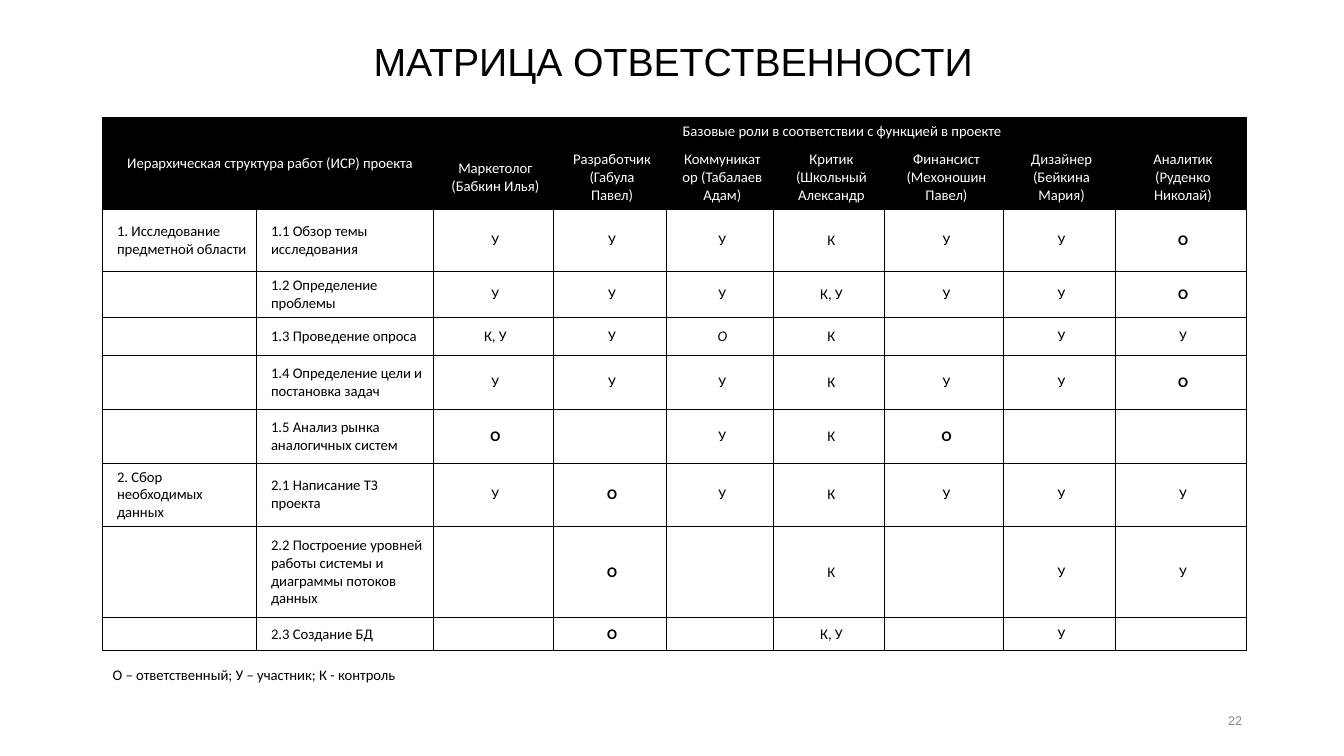
from dataclasses import dataclass
from typing import Optional

from lxml.etree import SubElement
from pptx import Presentation
from pptx.dml.color import RGBColor as Rgb
from pptx.enum.text import MSO_ANCHOR as Anchor, PP_ALIGN as Align
from pptx.oxml.ns import qn
from pptx.util import Cm, Pt


@dataclass(frozen=True)
class Theme:
    """Colours, fonts and type sizes of the slide."""
    ink: Rgb = Rgb(0x00, 0x00, 0x00)
    paper: Rgb = Rgb(0xFF, 0xFF, 0xFF)
    muted: Rgb = Rgb(0x88, 0x88, 0x88)
    heading_font: str = "Arial"
    body_font: str = "Calibri"
    title_size: float = 28
    body_size: float = 10.5
    number_size: float = 9
    border: float = 0.75


@dataclass(frozen=True)
class Task:
    """A work item with one mark per role."""
    stage: str
    name: str
    marks: tuple[str, ...]
    italic_role: Optional[int] = None


@dataclass(frozen=True)
class Label:
    """A text box with its place and format."""
    text: str
    left: float
    top: float
    width: float
    height: float
    size: float
    font: str
    color: Rgb
    align: Align = Align.LEFT
    anchor: Anchor = Anchor.MIDDLE
    spacing: float = 1.0


THEME = Theme()
COLUMNS = (3.88, 4.45, 3.02, 2.86, 2.7, 2.8, 3, 2.8, 3.32)
ROWS = (0.58, 1.35, 1.57, 0.97, 0.97, 1.35, 1.35, 1.35, 2.29, 0.84)
HEADER_ROWS = 2
LABEL_COLUMNS = 2
ROLES = (
    "Маркетолог (Бабкин Илья)",
    "Разработчик (Габула Павел)",
    "Коммуникатор (Табалаев Адам)",
    "Критик (Школьный Александр",
    "Финансист (Мехоношин Павел)",
    "Дизайнер (Бейкина Мария)",
    "Аналитик (Руденко Николай)",
)
TASKS = (
    Task("1. Исследование предметной области", "1.1 Обзор темы исследования",
         ("У", "У", "У", "К", "У", "У", "О")),
    Task("", "1.2 Определение проблемы",
         ("У", "У", "У", "К, У", "У", "У", "О")),
    Task("", "1.3 Проведение опроса",
         ("К, У", "У", "О", "К", "", "У", "У"), italic_role=2),
    Task("", "1.4 Определение цели и постановка задач",
         ("У", "У", "У", "К", "У", "У", "О")),
    Task("", "1.5 Анализ рынка аналогичных систем",
         ("О", "", "У", "К", "О", "", "")),
    Task("2. Сбор необходимых данных", "2.1 Написание ТЗ проекта",
         ("У", "О", "У", "К", "У", "У", "У")),
    Task("", "2.2 Построение уровней работы системы и диаграммы потоков данных",
         ("", "О", "", "К", "", "У", "У")),
    Task("", "2.3 Создание БД",
         ("", "О", "", "К, У", "", "У", "")),
)
LABELS = (
    Label("МАТРИЦА ОТВЕТСТВЕННОСТИ", 1.98, -0.23, 29.97, 3.68, THEME.title_size,
          THEME.heading_font, THEME.ink, align=Align.CENTER, spacing=0.9),
    Label("22", 23.93, 17.65, 7.62, 1.02, THEME.number_size,
          THEME.heading_font, THEME.muted, align=Align.RIGHT),
    Label("О – ответственный; У – участник; К - контроль", 2.59, 16.66, 13.94, 0.71,
          THEME.body_size, THEME.body_font, THEME.ink, anchor=Anchor.TOP),
)


def write(para, text: str, *, size: float, font: str, color: Rgb,
          align: Align = Align.LEFT, bold: bool = False, italic: bool = False) -> None:
    """Put formatted text in a paragraph, or size the paragraph if it is empty."""
    para.alignment = align
    if not text:
        SubElement(para._p, qn("a:endParaRPr"), sz=str(int(size * 100)))
        return
    span = para.add_run()
    span.text = text
    span.font.size = Pt(size)
    span.font.name = font
    span.font.color.rgb = color
    span.font.bold = bold
    span.font.italic = italic


def add_label(page, label: Label) -> None:
    """Add a text box."""
    box = page.shapes.add_textbox(Cm(label.left), Cm(label.top),
                                  Cm(label.width), Cm(label.height))
    frame = box.text_frame
    frame.word_wrap = True
    frame.vertical_anchor = label.anchor
    para = frame.paragraphs[0]
    para.line_spacing = label.spacing
    write(para, label.text, size=label.size, font=label.font,
          color=label.color, align=label.align)


def add_borders(cell) -> None:
    """Draw a thin line on all four sides of a cell."""
    properties = cell._tc.get_or_add_tcPr()
    for side in ("lnL", "lnR", "lnT", "lnB"):
        line = SubElement(properties, qn(f"a:{side}"), w=str(Pt(THEME.border)))
        fill = SubElement(line, qn("a:solidFill"))
        SubElement(fill, qn("a:srgbClr"), val=str(THEME.ink))


def fill_cell(cell, text: str, *, header: bool = False, align: Align = Align.CENTER,
              anchor: Anchor = Anchor.MIDDLE, bold: bool = False,
              italic: bool = False) -> None:
    """Format a table cell and write its text."""
    add_borders(cell)
    if header:
        cell.fill.solid()
        cell.fill.fore_color.rgb = THEME.ink
    else:
        cell.fill.background()
    cell.vertical_anchor = anchor
    cell.margin_left = Cm(0.36)
    write(cell.text_frame.paragraphs[0], text, size=THEME.body_size,
          font=THEME.body_font, color=THEME.paper if header else THEME.ink,
          align=align, bold=bold, italic=italic)


def add_header(table) -> None:
    """Write the two header rows and merge their group cells."""
    blanks = ("",) * (len(ROLES) - 1)
    groups = ("Иерархическая структура работ (ИСР) проекта", "",
              "Базовые роли в соответствии с функцией в проекте", *blanks)
    for row, texts in enumerate((groups, ("", "", *ROLES))):
        for column, text in enumerate(texts):
            is_roles_title = row == 0 and column >= LABEL_COLUMNS
            fill_cell(table.cell(row, column), text, header=True,
                      anchor=Anchor.TOP if is_roles_title else Anchor.MIDDLE)
    table.cell(0, 0).merge(table.cell(HEADER_ROWS - 1, LABEL_COLUMNS - 1))
    table.cell(0, LABEL_COLUMNS).merge(table.cell(0, len(COLUMNS) - 1))


def add_task(table, row: int, task: Task) -> None:
    """Write one work item across its row."""
    for column, text in enumerate((task.stage, task.name)):
        fill_cell(table.cell(row, column), text, align=Align.LEFT)
    for role, mark in enumerate(task.marks):
        italic = role == task.italic_role
        fill_cell(table.cell(row, LABEL_COLUMNS + role), mark,
                  bold=mark == "О" and not italic, italic=italic)


def add_matrix(page) -> None:
    """Add the responsibility table."""
    table = page.shapes.add_table(len(ROWS), len(COLUMNS), Cm(2.59), Cm(2.97),
                                  Cm(sum(COLUMNS)), Cm(sum(ROWS))).table
    table.first_row = False
    table.horz_banding = False
    for column, width in zip(table.columns, COLUMNS):
        column.width = Cm(width)
    for row, height in zip(table.rows, ROWS):
        row.height = Cm(height)
    add_header(table)
    for index, task in enumerate(TASKS, start=HEADER_ROWS):
        add_task(table, index, task)


def main() -> None:
    """Build the slide and save it."""
    deck = Presentation()
    deck.slide_width, deck.slide_height = Cm(33.87), Cm(19.05)
    page = deck.slides.add_slide(deck.slide_layouts[6])
    add_matrix(page)
    for label in LABELS:
        add_label(page, label)
    deck.save("out.pptx")


if __name__ == "__main__":
    main()
